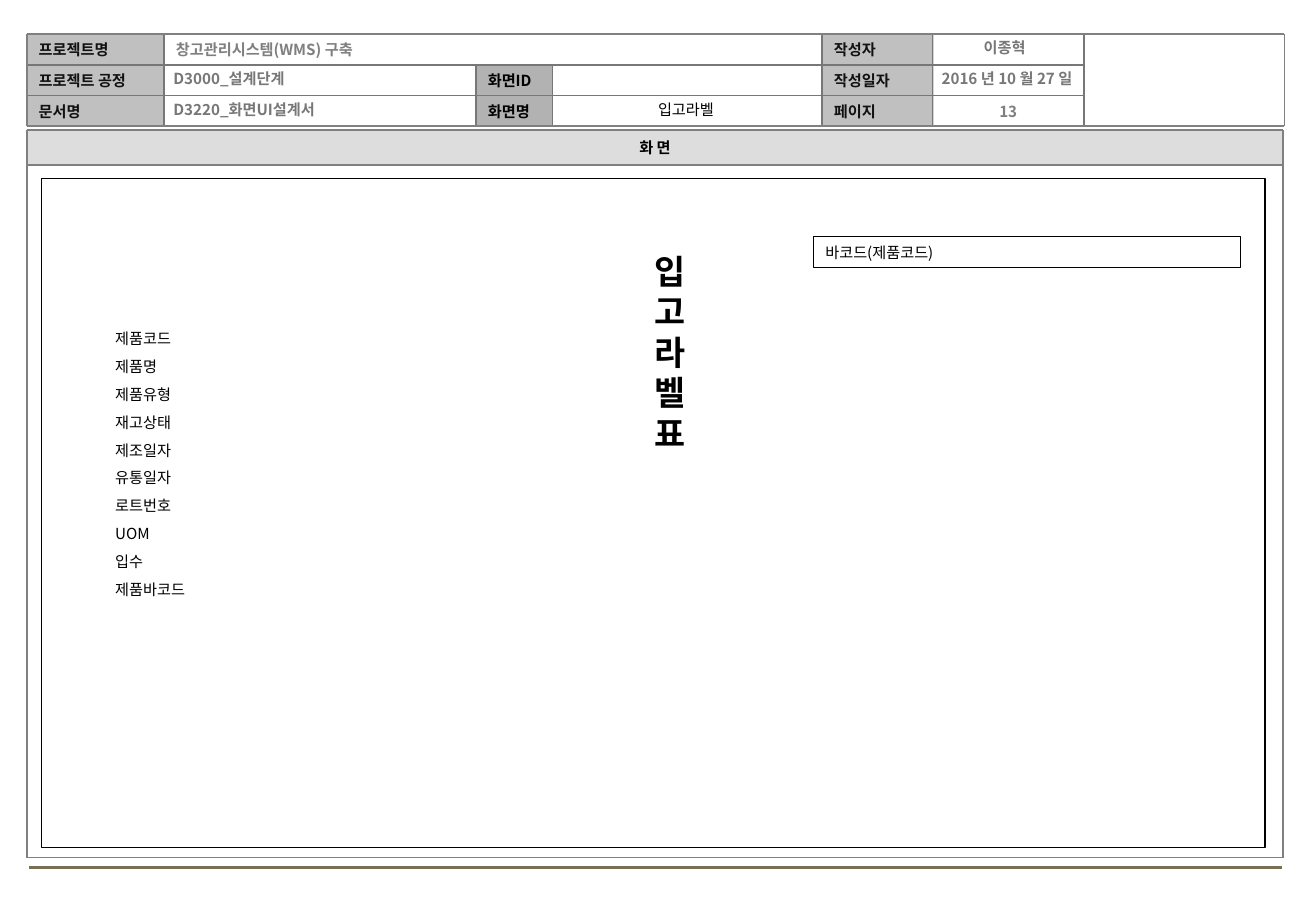
from collections import namedtuple

from lxml import etree
from pptx import Presentation
from pptx.dml.color import RGBColor
from pptx.enum.shapes import MSO_CONNECTOR, MSO_SHAPE
from pptx.enum.text import MSO_ANCHOR, MSO_AUTO_SIZE, PP_ALIGN
from pptx.oxml.ns import qn
from pptx.util import Inches, Pt

LEFT, CENTER = PP_ALIGN.LEFT, PP_ALIGN.CENTER
TOP, MIDDLE = MSO_ANCHOR.TOP, MSO_ANCHOR.MIDDLE
NO_AUTOFIT = MSO_AUTO_SIZE.NONE
RECTANGLE = MSO_SHAPE.RECTANGLE
STRAIGHT = MSO_CONNECTOR.STRAIGHT

FONT = "Noto Sans CJK KR"
TITLE_FONT = "Cabin"
BLACK, INK, GRAY, MUTED = "000000", "111111", "777777", "7F7F7F"
RULE, LABEL, SCREEN_LABEL, BAND, FOOTER = "808080", "C0C0C0", "B2B2B2", "DDDDDD", "7A6F54"

Box = namedtuple("Box", "left top width height")


def paint(target, color):
    if hasattr(target, "solid"):
        target.solid()
        target.fore_color.rgb = RGBColor.from_string(color)
    else:
        target.color.rgb = RGBColor.from_string(color)


def place(shape, box):
    shape.left, shape.top, shape.width, shape.height = (Inches(length) for length in box)


def write(shape, text, color=BLACK, bold=False, align=LEFT, anchor=TOP,
          size=9, font=FONT, insets=(0.1, 0.05)):
    frame = shape.text_frame
    frame.word_wrap = True
    frame.auto_size = NO_AUTOFIT
    frame.vertical_anchor = anchor
    frame.margin_left = frame.margin_right = Inches(insets[0])
    frame.margin_top = frame.margin_bottom = Inches(insets[1])
    para = frame.paragraphs[0]
    para.alignment = align
    span = para.add_run()
    span.text = text
    span.font.name = font
    span.font.size = Pt(size)
    span.font.bold = bold
    paint(span.font, color) if not hasattr(span.font, "fill") else paint(span.font.fill, color)
    east_asian = etree.SubElement(span._r.get_or_add_rPr(), qn("a:ea"))
    east_asian.set("typeface", FONT)
    span._r.rPr.find(qn("a:latin")).addnext(east_asian)
    return span


def add_text(page, box, text, **style):
    shape = page.shapes.add_textbox(*(Inches(length) for length in box))
    write(shape, text, **style)


def add_rectangle(page, box, fill=None, line=None):
    shape = page.shapes.add_shape(RECTANGLE, *(Inches(length) for length in box))
    shape.shadow.inherit = False
    if fill:
        paint(shape.fill, fill)
    else:
        shape.fill.background()
    if line:
        paint(shape.line, line)
        shape.line.width = Pt(0.75)
    else:
        shape.line.fill.background()
    return shape


def add_rule(page, x1, y1, x2, y2, color=RULE, width=1):
    rule = page.shapes.add_connector(STRAIGHT, *(Inches(length) for length in (x1, y1, x2, y2)))
    paint(rule.line, color)
    rule.line.width = Pt(width)
    etree.SubElement(rule._element.spPr, qn("a:effectLst"))


def add_border(page, box):
    right, bottom = box.left + box.width, box.top + box.height
    for y in (box.top, bottom):
        add_rule(page, box.left, y, right, y)
    for x in (box.left, right):
        add_rule(page, x, box.top, x, bottom)


def add_header(page, box):
    row = box.height / 3
    label_columns = (
        (0, 1.13, LABEL, INK, ("프로젝트명", "프로젝트 공정", "문서명")),
        (3.7, 0.63, SCREEN_LABEL, BLACK, (None, "화면ID", "화면명")),
        (6.55, 0.92, LABEL, INK, ("작성자", "작성일자", "페이지")),
    )
    for offset, width, fill, color, labels in label_columns:
        for index, label in enumerate(labels):
            if label:
                cell = Box(box.left + offset, box.top + index * row, width, row)
                shape = add_rectangle(page, cell, fill)
                write(shape, label, color=color, bold=True, anchor=MIDDLE)

    for offset, first_row in ((1.13, 0), (3.7, 1), (4.33, 1), (6.55, 0), (7.46, 0), (8.71, 0)):
        x = box.left + offset
        add_rule(page, x, box.top + first_row * row, x, box.top + box.height, GRAY)
    for index in (1, 2):
        y = box.top + index * row
        add_rule(page, box.left, y, box.left + 8.71, y, GRAY)
    add_border(page, box)

    values = (
        (1.13, 0, 5.42, "창고관리시스템(WMS) 구축", MUTED, True, LEFT, MIDDLE),
        (1.11, 0.24, 5.42, "D3000_설계단계", GRAY, True, LEFT, TOP),
        (1.11, 0.5, 5.42, "D3220_화면UI설계서", GRAY, True, LEFT, TOP),
        (4.34, 0.5, 2.18, "입고라벨", BLACK, False, CENTER, TOP),
        (7.27, -0.01, 1.57, "이종혁", GRAY, True, CENTER, TOP),
        (7.29, 0.24, 1.57, "2016 년 10 월 27 일", GRAY, True, CENTER, TOP),
        (7.46, 0.51, 1.25, "13", MUTED, True, CENTER, TOP),
    )
    for x, y, width, text, color, bold, align, anchor in values:
        add_text(page, Box(box.left + x, box.top + y, width, row), text,
                 color=color, bold=bold, align=align, anchor=anchor)


def add_screen_panel(page, box):
    band = add_rectangle(page, Box(box.left, box.top, box.width, 0.29), BAND)
    write(band, "화 면", bold=True, align=CENTER, anchor=MIDDLE, insets=(0.02, 0))
    add_rule(page, box.left, box.top + 0.29, box.left + box.width, box.top + 0.29)
    add_border(page, box)


def add_label_title(page, box):
    title = page.shapes.title
    place(title, box)
    span = write(title, "입고라벨표", bold=True, size=20, font=TITLE_FONT, insets=(0.02, 0.04))
    title.text_frame.paragraphs[0].line_spacing = Pt(24)
    effects = etree.Element(qn("a:effectLst"))
    shadow = etree.SubElement(effects, qn("a:outerShdw"), dist="25400", dir="2700000")
    etree.SubElement(shadow, qn("a:srgbClr"), val="C0C0C0")
    span._r.rPr.find(qn("a:solidFill")).addnext(effects)


def add_receiving_label(page, box):
    add_rectangle(page, box, line=BLACK)
    add_label_title(page, Box(box.left + 5.03, box.top + 0.55, 0.55, 1.75))
    barcode = add_rectangle(page, Box(box.left + 6.36, box.top + 0.48, 3.52, 0.25), line=BLACK)
    write(barcode, "바코드(제품코드)")
    fields = ("제품코드", "제품명", "제품유형", "재고상태", "제조일자",
              "유통일자", "로트번호", "UOM", "입수", "제품바코드")
    for index, field in enumerate(fields):
        add_text(page, Box(box.left + 0.51, box.top + 1.19 + index * 0.23, 1.17, 0.25), field)


def main():
    deck = Presentation()
    deck.slide_width, deck.slide_height = Inches(10.84), Inches(7.5)
    page = deck.slides.add_slide(deck.slide_layouts[5])
    add_rule(page, 0.24, 7.14, 10.56, 7.14, FOOTER, 1.75)
    add_header(page, Box(0.22, 0.28, 10.36, 0.76))
    add_screen_panel(page, Box(0.22, 1.07, 10.35, 5.99))
    add_receiving_label(page, Box(0.34, 1.47, 10.08, 5.51))
    deck.save("out.pptx")


if __name__ == "__main__":
    main()
